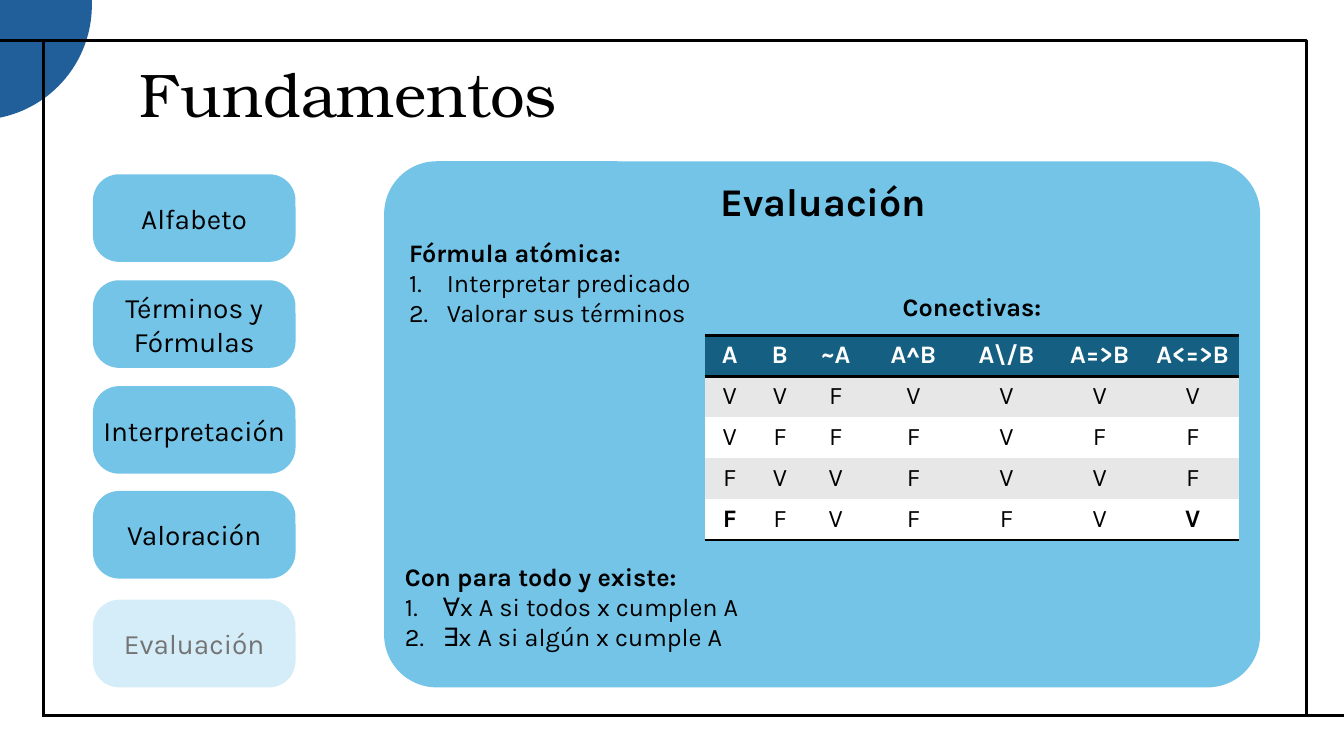
from lxml import etree
from pptx import Presentation
from pptx.dml.color import RGBColor
from pptx.enum.shapes import MSO_CONNECTOR, MSO_SHAPE
from pptx.enum.text import MSO_ANCHOR, PP_ALIGN
from pptx.oxml import parse_xml
from pptx.oxml.ns import nsdecls, qn
from pptx.util import Pt

CENTER, LEFT = PP_ALIGN.CENTER, PP_ALIGN.LEFT
MIDDLE, TOP = MSO_ANCHOR.MIDDLE, MSO_ANCHOR.TOP
OVAL, RECT, ROUNDED = MSO_SHAPE.OVAL, MSO_SHAPE.RECTANGLE, MSO_SHAPE.ROUNDED_RECTANGLE
STRAIGHT = MSO_CONNECTOR.STRAIGHT

BLACK = RGBColor(0x00, 0x00, 0x00)
WHITE = RGBColor(0xFF, 0xFF, 0xFF)
GREY = RGBColor(0x74, 0x74, 0x74)
NAVY = RGBColor(0x21, 0x5F, 0x9A)
SKY = RGBColor(0x74, 0xC4, 0xE8)
TEAL = RGBColor(0x15, 0x60, 0x82)
BAND = RGBColor(0xE7, 0xE7, 0xE7)
BODY_FONT, TITLE_FONT = "Karla", "TeX Gyre Bonum"
NO_STYLE = "{2D5ABB26-0587-4C30-8999-92F81FD0307C}"

# Content
TITLE = "Fundamentos"
TOPICS = [  # name, top
    ("Alfabeto", 124.5),
    ("Términos y Fórmulas", 200.2),
    ("Interpretación", 275.8),
    ("Valoración", 350.7),
    ("Evaluación", 428.4),
]
CURRENT = "Evaluación"
RULES = [  # heading, numbered steps, box
    ("Fórmula atómica:", ["Interpretar predicado", "Valorar sus términos"],
     (285.2, 165.6, 216, 72.7)),
    ("Con para todo y existe:",
     ["∀x A si todos x cumplen A", "∃x A si algún x cumple A"],
     (282.2, 397.4, 261.4, 72.7)),
]
CONNECTIVES = "Conectivas:"
TRUTH_TABLE = [
    ["A", "B", "~A", "A^B", "A\\/B", "A=>B", "A<=>B"],
    ["V", "V", "F", "V", "V", "V", "V"],
    ["V", "F", "F", "F", "V", "F", "F"],
    ["F", "V", "V", "F", "V", "V", "F"],
    ["F", "F", "V", "F", "F", "V", "V"],
]
BOLD_CELLS = {(4, 0), (4, 6)}
COLUMN_WIDTHS = [36, 35.5, 44.5] + [66.5] * 4
ROW_HEIGHT = 29.25
TABLE_LEFT, TABLE_TOP = 503.3, 239.6
RULED_LINES = [(30.2, 511.2, 1063.4, 511.2), (-26.6, 28.8, 933.1, 28.8)]

prs = Presentation()
prs.slide_width, prs.slide_height = Pt(960), Pt(540)
slide = prs.slides.add_slide(prs.slide_layouts[6])


def add_block(kind, box, fill=None, corner=None):
    block = slide.shapes.add_shape(kind, *map(Pt, box))
    block.shadow.inherit = False
    if fill is None:
        block.fill.background()
        block.line.color.rgb = BLACK
        block.line.width = Pt(2.25)
    else:
        block.fill.solid()
        block.fill.fore_color.rgb = fill
        block.line.fill.background()
    if corner is not None:
        block.adjustments[0] = corner
    return block


def format_paragraph(paragraph, size, color=BLACK, bold=False, font=BODY_FONT, align=CENTER):
    paragraph.alignment = align
    for run in paragraph.runs:
        run.font.size, run.font.name = Pt(size), font
        run.font.bold, run.font.color.rgb = bold, color


def add_text(lines, box, size, bold=False, font=BODY_FONT, align=CENTER, anchor=TOP):
    frame = slide.shapes.add_textbox(*map(Pt, box)).text_frame
    frame.word_wrap, frame.vertical_anchor = True, anchor
    frame.text = "\n".join(lines)
    for paragraph in frame.paragraphs:
        format_paragraph(paragraph, size, bold=bold, font=font, align=align)
    return frame


def add_border(cell, edges):
    props = cell._tc.get_or_add_tcPr()
    for position, edge in enumerate(edges):
        props.insert(position, parse_xml(
            f'<a:{edge} {nsdecls("a")} w="25400"><a:solidFill>'
            f'<a:srgbClr val="{BLACK}"/></a:solidFill></a:{edge}>'))


# Corner circle and frame
add_block(OVAL, (-98.6, -78.5, 164.2, 164.2), NAVY)
add_block(RECT, (31, 28.8, 902.2, 482.4))
for ends in RULED_LINES:
    rule = slide.shapes.add_connector(STRAIGHT, *map(Pt, ends))
    rule.line.color.rgb, rule.line.width = BLACK, Pt(2.25)
    etree.SubElement(rule._element.spPr, qn("a:effectLst"))

# Title
title = add_text([TITLE], (92.9, 30.2, 801.4, 79.2), 44,
                 font=TITLE_FONT, align=LEFT, anchor=MIDDLE)
title.paragraphs[0].line_spacing = 0.9

# Topic buttons
for topic, top in TOPICS:
    button = add_block(ROUNDED, (66.4, top, 144.7, 62.6), SKY, 0.3)
    frame = button.text_frame
    frame.word_wrap, frame.vertical_anchor = True, MIDDLE
    frame.margin_left = frame.margin_right = 0
    frame.text = topic
    format_paragraph(frame.paragraphs[0], 20, GREY if topic == CURRENT else BLACK)
    if topic == CURRENT:
        tint = button._element.spPr.find(qn("a:solidFill"))[0]
        etree.SubElement(tint, qn("a:alpha"), val="30000")

# Panel with its headings and rules
add_block(ROUNDED, (274.4, 115.2, 625.7, 375.8), SKY, 0.1)
add_text([CURRENT], (311, 123.1, 554.4, 41), 28, bold=True)
for heading, steps, box in RULES:
    rules = add_text([heading] + steps, box, 18, align=LEFT)
    rules.paragraphs[0].runs[0].font.bold = True
    for step in rules.paragraphs[1:]:
        props = step._p.get_or_add_pPr()
        props.set("marL", str(Pt(27)))
        props.set("indent", str(-Pt(27)))
        etree.SubElement(props, qn("a:buAutoNum"), type="arabicPeriod")

# Truth table
table_width = sum(COLUMN_WIDTHS)
add_text([CONNECTIVES], (TABLE_LEFT, 204.5, table_width, 28.8), 18, bold=True)
table = slide.shapes.add_table(
    len(TRUTH_TABLE), len(COLUMN_WIDTHS), Pt(TABLE_LEFT), Pt(TABLE_TOP),
    Pt(table_width), Pt(ROW_HEIGHT * len(TRUTH_TABLE))).table
table._tbl.tblPr.find(qn("a:tableStyleId")).text = NO_STYLE
for column, width in zip(table.columns, COLUMN_WIDTHS):
    column.width = Pt(width)
for r, values in enumerate(TRUTH_TABLE):
    table.rows[r].height = Pt(ROW_HEIGHT)
    header = r == 0
    for c, value in enumerate(values):
        cell = table.cell(r, c)
        cell.text = value
        cell.margin_left = cell.margin_right = Pt(3)
        format_paragraph(cell.text_frame.paragraphs[0], 18, WHITE if header else BLACK,
                         bold=header or (r, c) in BOLD_CELLS)
        cell.fill.solid()
        cell.fill.fore_color.rgb = TEAL if header else BAND if r % 2 else WHITE
        if header:
            add_border(cell, ["lnT", "lnB"])
        elif r == len(TRUTH_TABLE) - 1:
            add_border(cell, ["lnB"])

prs.save("out.pptx")
